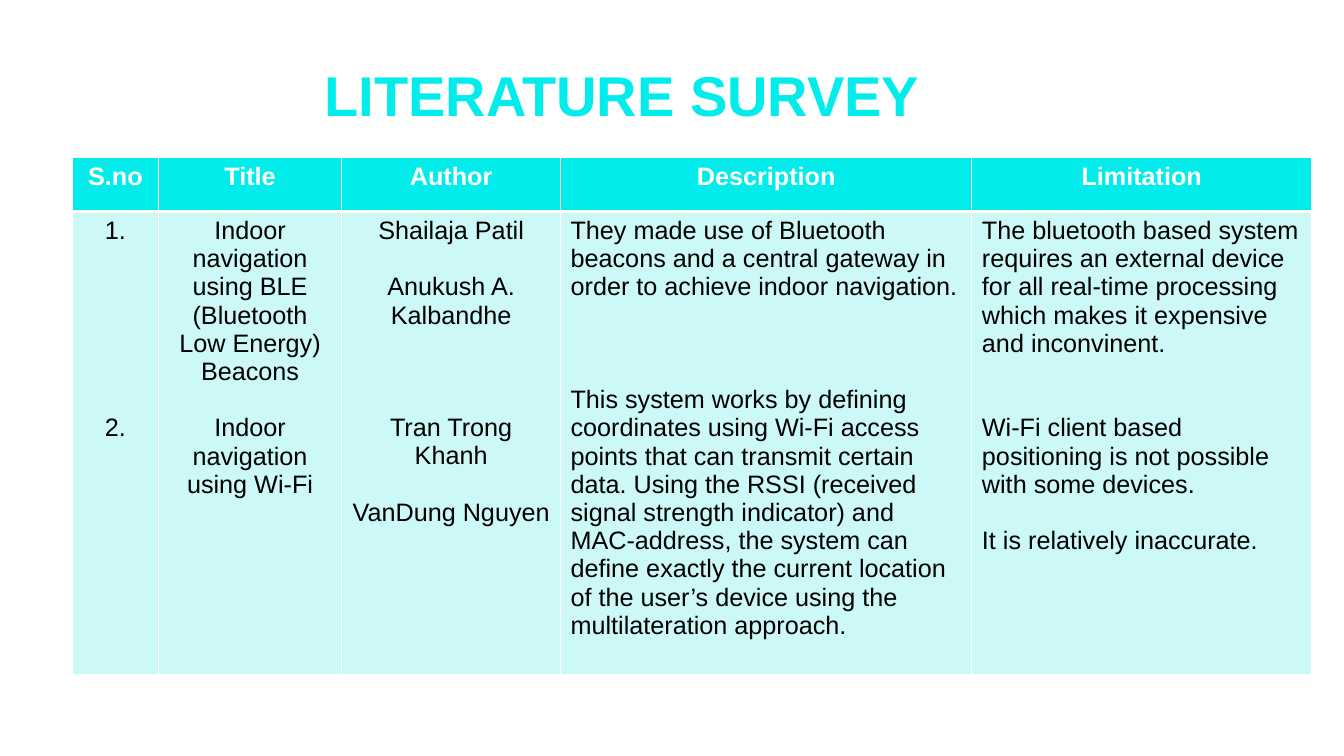
from pptx import Presentation
from pptx.dml.color import RGBColor as RGB
from pptx.enum.text import MSO_ANCHOR as Anchor, MSO_AUTO_SIZE as Fit, PP_ALIGN as Align
from pptx.oxml.ns import qn
from pptx.util import Inches, Pt
from lxml.etree import SubElement as Sub

COLORS = {"cyan": "02ECEC", "pale": "CCF8F8", "white": "FFFFFF", "black": "000000"}
LINE = 20.1  # height in points of one line of table text

WIDTHS = [0.85, 1.82, 2.17, 4.08, 3.37]
HEADS = ["S.no", "Title", "Author", "Description", "Limitation"]
# Each entry: blank lines above, text
BODY = [
    [(0, "1."), (6, "2.")],
    [(0, "Indoor navigation using BLE (Bluetooth Low Energy) Beacons"),
     (1, "Indoor navigation using Wi-Fi")],
    [(0, "Shailaja Patil"), (1, "Anukush A. Kalbandhe"),
     (3, "Tran Trong Khanh"), (1, "VanDung Nguyen")],
    [(0, "They made use of Bluetooth beacons and a central gateway in order to "
         "achieve indoor navigation."),
     (3, "This system works by defining coordinates using Wi-Fi access points that "
         "can transmit certain data. Using the RSSI (received signal strength "
         "indicator) and MAC-address, the system can define exactly the current "
         "location of the user’s device using the multilateration approach.")],
    [(0, "The bluetooth based system requires an external device for all real-time "
         "processing which makes it expensive and inconvinent."),
     (2, "Wi-Fi client based positioning is not possible with some devices."),
     (1, "It is relatively inaccurate.")],
]


class Deck:
    def __init__(self, font):
        self.font = font
        self.prs = Presentation()
        self.prs.slide_width, self.prs.slide_height = Inches(13.33), Inches(7.5)
        self.slide = self.prs.slides.add_slide(self.prs.slide_layouts[5])

    def style(self, para, size, color, bold, align):
        para.alignment = align
        font = para.font
        font.name, font.size, font.bold = self.font, Pt(size), bold
        font.color.rgb = RGB.from_string(COLORS[color])

    def title(self, text, left, top, width, height):
        shape = self.slide.shapes.title
        shape.left, shape.top = Inches(left), Inches(top)
        shape.width, shape.height = Inches(width), Inches(height)
        frame = shape.text_frame
        frame.text = text
        frame.vertical_anchor = Anchor.MIDDLE
        frame.auto_size = Fit.SHAPE_TO_FIT_TEXT
        self.style(frame.paragraphs[0], 40, "cyan", True, Align.LEFT)

    def edges(self, cell, top, bottom):
        """Draw white borders; top and bottom widths are in points."""
        props = cell._tc.get_or_add_tcPr()
        for side, width in zip("LRTB", (1, 1, top, bottom)):
            line = Sub(props, qn(f"a:ln{side}"), w=str(Pt(width)))
            fill = Sub(line, qn("a:solidFill"))
            Sub(fill, qn("a:srgbClr"), val=COLORS["white"])

    def cell(self, cell, items, head, align):
        self.edges(cell, *((1, 3) if head else (3, 1)))
        cell.fill.solid()
        cell.fill.fore_color.rgb = RGB.from_string(COLORS["cyan" if head else "pale"])
        frame = cell.text_frame
        frame.text = "\n".join(text for _, text in items)
        for para, (gap, _) in zip(frame.paragraphs, items):
            para.space_before = Pt(gap * LINE)
            self.style(para, 18, "white" if head else "black", head, align)

    def table(self, left, top, widths, heights, heads, body):
        table = self.slide.shapes.add_table(
            len(heights), len(widths), Inches(left), Inches(top),
            Inches(sum(widths)), Inches(sum(heights))).table
        for row, height in zip(table.rows, heights):
            row.height = Inches(height)
        for col, width in enumerate(widths):
            table.columns[col].width = Inches(width)
            self.cell(table.cell(0, col), [(0, heads[col])], True, Align.CENTER)
            align = Align.CENTER if col < 3 else Align.LEFT
            self.cell(table.cell(1, col), body[col], False, align)


def main():
    deck = Deck("Arial")
    deck.title("LITERATURE SURVEY", 3.12, 0.55, 7.1, 0.77)
    deck.table(0.72, 1.56, WIDTHS, [0.54, 4.59], HEADS, BODY)
    deck.prs.save("out.pptx")


if __name__ == "__main__":
    main()
